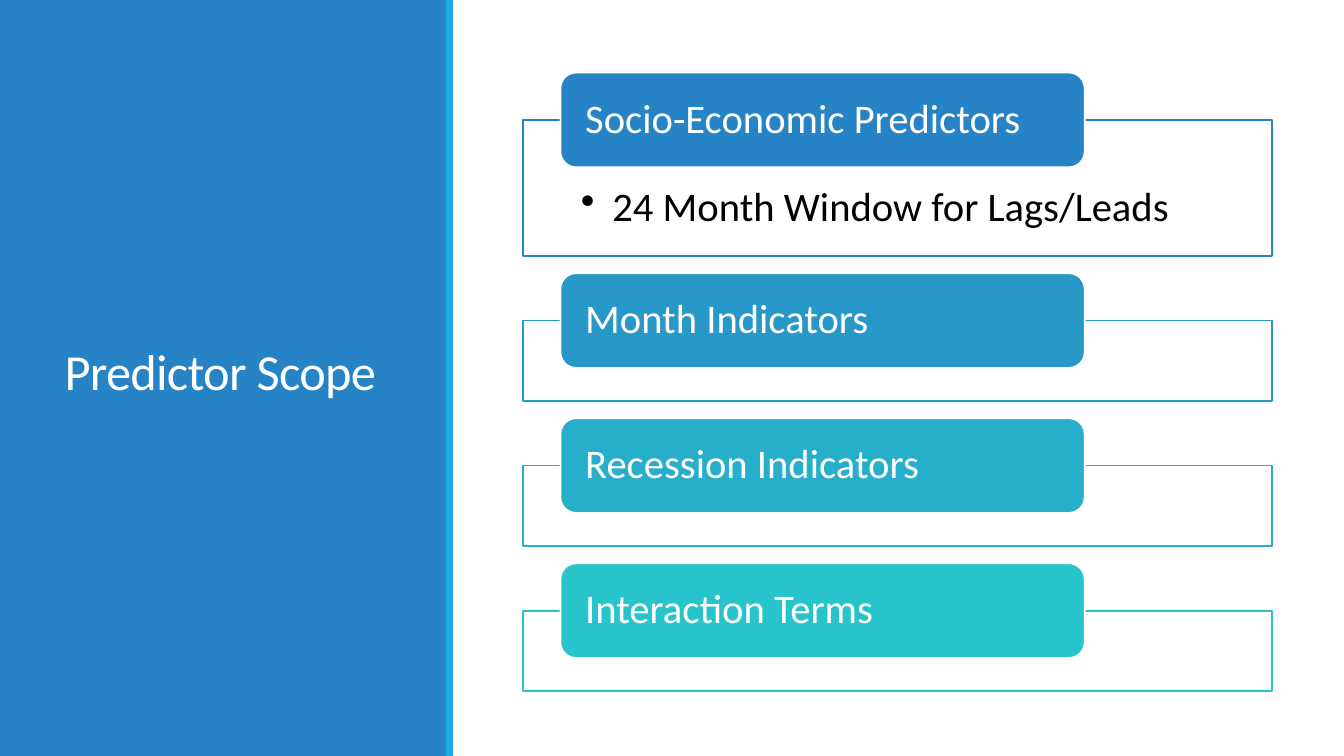
import pptx
import pptx.util
import pptx.dml.color
import pptx.enum.shapes
import pptx.enum.text
import lxml.etree

Pt = pptx.util.Pt
RGBColor = pptx.dml.color.RGBColor
Shape = pptx.enum.shapes.MSO_SHAPE
Anchor = pptx.enum.text.MSO_ANCHOR

WHITE = RGBColor(0xFF, 0xFF, 0xFF)
BLACK = RGBColor(0x00, 0x00, 0x00)
BLUE = RGBColor(0x26, 0x83, 0xC6)
SKY = RGBColor(0x1C, 0xAD, 0xE4)
OCEAN = RGBColor(0x27, 0x98, 0xC8)
TEAL = RGBColor(0x27, 0xAE, 0xCA)
TURQUOISE = RGBColor(0x28, 0xC4, 0xCC)
DRAWING = "{http://schemas.openxmlformats.org/drawingml/2006/main}"


def add_box(kind, left, top, width, height, fill, line=None):
    shape = slide.shapes.add_shape(kind, Pt(left), Pt(top), Pt(width), Pt(height))
    shape.shadow.inherit = False
    shape.fill.solid()
    shape.fill.fore_color.rgb = fill
    if line is None:
        shape.line.fill.background()
    else:
        shape.line.color.rgb = line
        shape.line.width = Pt(1.25)
    return shape


def write_text(shape, text, size=29, color=WHITE, anchor=Anchor.MIDDLE,
               margins=(14.4, 0, 14.4, 0), line_spacing=0.9, letter_spacing=0, bullet=False):
    frame = shape.text_frame
    frame.word_wrap = True
    frame.vertical_anchor = anchor
    frame.margin_left, frame.margin_top, frame.margin_right, frame.margin_bottom = map(Pt, margins)
    paragraph = frame.paragraphs[0]
    paragraph.alignment = pptx.enum.text.PP_ALIGN.LEFT
    paragraph.line_spacing = line_spacing
    run = paragraph.add_run()
    run.text = text
    run.font.name = "Calibri"
    run.font.size = Pt(size)
    run.font.color.rgb = color
    if letter_spacing:
        run.font._element.set("spc", str(round(letter_spacing * 100)))
    if bullet:
        properties = paragraph._p.get_or_add_pPr()
        properties.set("marL", str(Pt(22.5)))
        properties.set("indent", str(Pt(-22.5)))
        lxml.etree.SubElement(properties, DRAWING + "buChar", char="•")


presentation = pptx.Presentation()
presentation.slide_width = Pt(960)
presentation.slide_height = Pt(540)
slide = presentation.slides.add_slide(presentation.slide_layouts[6])

add_box(Shape.RECTANGLE, 0, 0, 319, 540, BLUE)
add_box(Shape.RECTANGLE, 318.5, 0, 5, 540, SKY)
title = slide.shapes.add_textbox(Pt(39), Pt(41), Pt(243), Pt(454))
write_text(title, "Predictor Scope", size=36, margins=(7.2, 3.6, 7.2, 3.6),
           line_spacing=0.85, letter_spacing=-0.5)

predictors = [
    ("Socio-Economic Predictors", "24 Month Window for Lags/Leads", BLUE, 97.2),
    ("Month Indicators", None, OCEAN, 57.5),
    ("Recession Indicators", None, TEAL, 57.5),
    ("Interaction Terms", None, TURQUOISE, 57.5),
]
frame_top = 85.7
frame_gap = 46.1
header_height = 67.7

for heading, detail, color, frame_height in predictors:
    panel = add_box(Shape.RECTANGLE, 373.5, frame_top, 535, frame_height, WHITE, color)
    panel_color = panel.fill._xPr.find(f"{DRAWING}solidFill/{DRAWING}srgbClr")
    lxml.etree.SubElement(panel_color, DRAWING + "alpha", val="90000")
    if detail:
        write_text(panel, detail, color=BLACK, anchor=Anchor.TOP,
                   margins=(41.5, 47.5, 41.5, 16.5), bullet=True)
    header = add_box(Shape.ROUNDED_RECTANGLE, 400.3, frame_top - header_height / 2,
                     374.5, header_height, color, WHITE)
    write_text(header, heading)
    frame_top += frame_height + frame_gap

presentation.save("out.pptx")
